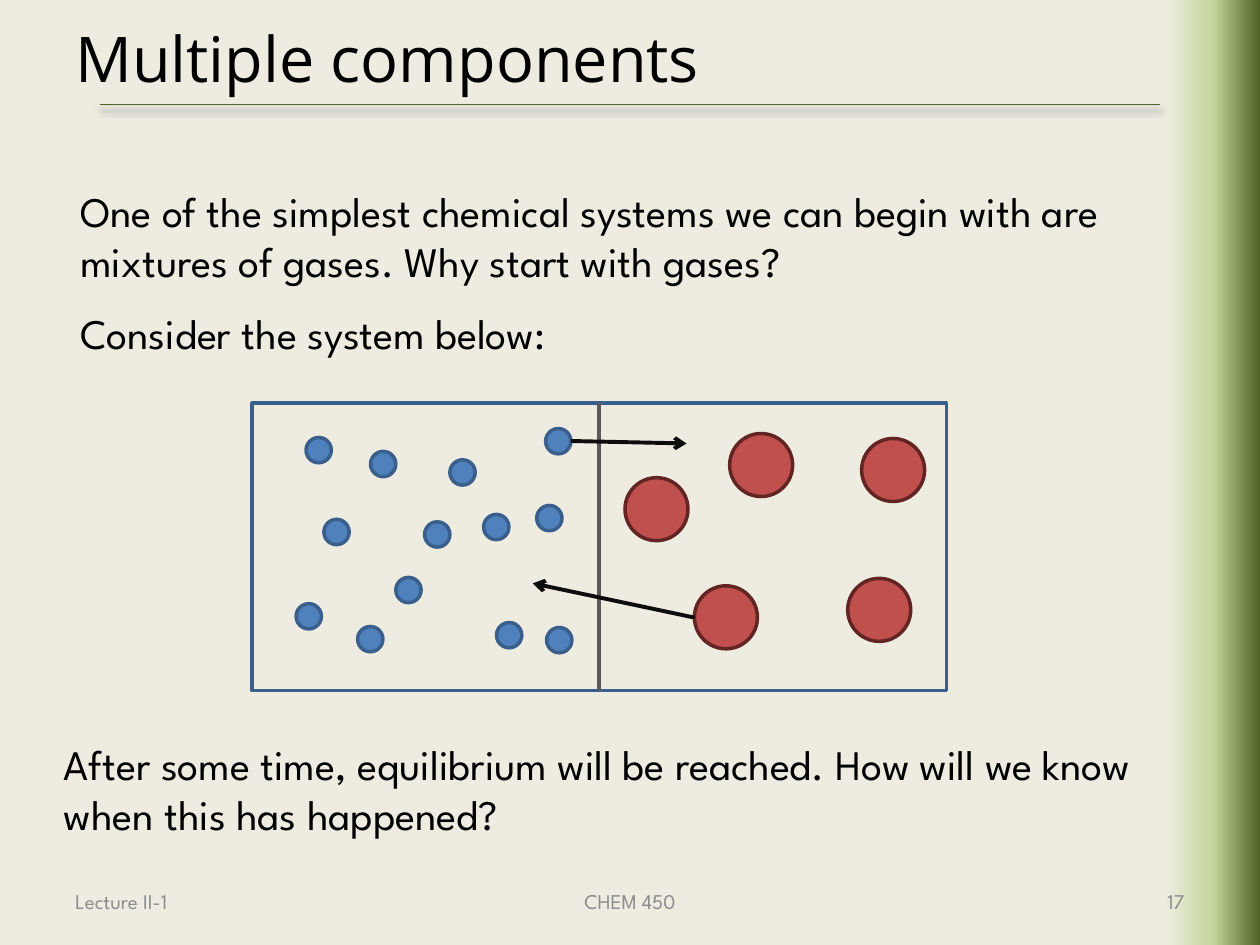
from dataclasses import dataclass

from lxml import etree
from pptx import Presentation
from pptx import util as u
from pptx.dml import color
from pptx.enum import shapes, text
from pptx.oxml import ns

Cm, Pt = u.Cm, u.Pt
A = ns.nsdecls("a")
MID, TOP = text.MSO_ANCHOR.MIDDLE, text.MSO_ANCHOR.TOP
ALIGN = text.PP_ALIGN


@dataclass(frozen=True)
class Theme:
    """Colours, fonts and sizes of the slide."""
    paper: str = "EEECE1"
    ink: str = "000000"
    gray: str = "8C8C8C"
    leaf: str = "4F6228"
    lime: str = "C3D69B"
    blue: str = "4F81BD"
    navy: str = "3A5F8C"
    red: str = "C0504D"
    wine: str = "632523"
    wall: str = "595959"
    dart: str = "0D0D0D"
    head: str = "Open Sans"
    body: str = "League Spartan"
    big: int = 36
    mid: int = 24
    low: int = 12


T = Theme()
SMALL = [(1.09, 0.69), (2.39, 0.97), (1.45, 2.34), (3.48, 2.39), (2.9, 3.51),
         (3.99, 1.14), (0.89, 4.04), (4.93, 4.42), (5.74, 2.06), (4.67, 2.24),
         (5.94, 4.52), (2.13, 4.5), (5.92, 0.51)]
LARGE = [(7.52, 1.5), (8.92, 3.68), (9.63, 0.61), (12.01, 3.53), (12.29, 0.71)]
PATHS = [(6.43, 0.76, 8.76, 0.81), (8.92, 4.32, 5.66, 3.63)]


def rgb(code):
    """Turn a hex code into a colour."""
    return color.RGBColor.from_string(code)


def put(obj, vals):
    """Set each named value on an object."""
    for name, val in vals.items():
        setattr(obj, name, val)


def glow():
    """Return a soft shadow that falls straight down."""
    return etree.fromstring(
        f'<a:effectLst {A}><a:outerShdw blurRad="{Pt(4)}" dist="{Pt(3)}" '
        'dir="5400000" algn="ctr" rotWithShape="0"><a:srgbClr val="000000">'
        '<a:alpha val="40000"/></a:srgbClr></a:outerShdw></a:effectLst>')


def write(slide, box, lines, size, hue=T.ink, face=T.body, side=ALIGN.LEFT,
          anchor=TOP, after=0):
    """Add a text box and return its runs."""
    frame = slide.shapes.add_textbox(*map(Cm, box)).text_frame
    put(frame, {"word_wrap": True, "vertical_anchor": anchor,
                "text": "\n".join(lines)})
    runs = []
    for par in frame.paragraphs:
        put(par, {"alignment": side, "space_after": Pt(after)})
        run = par.runs[0]
        put(run.font, {"size": Pt(size), "name": face})
        run.font.color.rgb = rgb(hue)
        runs.append(run)
    return runs


def form(slide, kind, box, fill=None, edge=None):
    """Add a preset shape with plain fill and edge."""
    item = slide.shapes.add_shape(kind, *map(Cm, box))
    item.shadow.inherit = False
    if fill:
        item.fill.solid()
        item.fill.fore_color.rgb = rgb(fill)
    else:
        item.fill.background()
    if edge:
        item.line.color.rgb = rgb(edge)
        item.line.width = Pt(2)
    else:
        item.line.fill.background()
    return item


def rule(slide, ends, hue, width, tip=False, shade=False):
    """Add a straight line, with an arrow tip or a shadow if asked."""
    item = slide.shapes.add_connector(shapes.MSO_CONNECTOR.STRAIGHT, *map(Cm, ends))
    item.line.color.rgb = rgb(hue)
    item.line.width = Pt(width)
    if tip:
        etree.SubElement(item.line._get_or_add_ln(), ns.qn("a:tailEnd"), type="arrow")
    item._element.spPr.append(glow() if shade else etree.Element(ns.qn("a:effectLst")))


def band(slide, box):
    """Draw the side band that fades into the paper."""
    item = form(slide, shapes.MSO_SHAPE.RECTANGLE, box)
    stops = "".join(f'<a:gs pos="{pos}"><a:srgbClr val="{hue}"/></a:gs>' for pos, hue
                    in ((0, T.leaf), (50000, T.lime), (100000, T.paper)))
    fade = etree.fromstring(f'<a:gradFill {A} rotWithShape="1"><a:gsLst>{stops}</a:gsLst>'
                            '<a:lin ang="10800000" scaled="0"/></a:gradFill>')
    props = item._element.spPr
    props.replace(props.find(ns.qn("a:noFill")), fade)


def title(slide, box, words):
    """Draw the shaded title and the rule below it."""
    x, y, w, h = box
    base = y + 2.54
    rule(slide, (x + 0.74, base, x + w - 0.74, base), T.leaf, 0.75, shade=True)
    run, = write(slide, box, [words], T.big, face=T.head, anchor=MID)
    run.font.fill._xPr.find(ns.qn("a:solidFill")).addnext(glow())


def foot(slide, box, left, mid, right):
    """Write the three footer notes across the box."""
    x, y, w, h = box
    side, core = 5.92, 8.05
    for dx, wide, words, way in ((0, side, left, ALIGN.LEFT),
                                 ((w - core) / 2, core, mid, ALIGN.CENTER),
                                 (w - side, side, right, ALIGN.RIGHT)):
        write(slide, (x + dx, y, wide, h), [words], T.low, T.gray, side=way, anchor=MID)


def tank(slide, box):
    """Draw the split tank, its two gases and their paths."""
    x, y, w, h = box
    form(slide, shapes.MSO_SHAPE.RECTANGLE, box, edge=T.navy)
    rule(slide, (x + w / 2, y, x + w / 2, y + h), T.wall, 2.25)
    for spots, size, fill, edge in ((SMALL, 0.51, T.blue, T.navy),
                                    (LARGE, 1.27, T.red, T.wine)):
        for dx, dy in spots:
            form(slide, shapes.MSO_SHAPE.OVAL, (x + dx, y + dy, size, size), fill, edge)
    for ax, ay, bx, by in PATHS:
        rule(slide, (x + ax, y + ay, x + bx, y + by), T.dart, 2.25, tip=True)


def main():
    """Build the slide and save it."""
    deck = Presentation()
    put(deck, {"slide_width": Cm(25.4), "slide_height": Cm(19.05)})
    slide = deck.slides.add_slide(deck.slide_layouts[6])
    slide.background.fill.solid()
    slide.background.fill.fore_color.rgb = rgb(T.paper)
    band(slide, (23.5, 0, 1.9, 19.05))
    title(slide, (1.27, -0.43, 22.86, 3.18), "Multiple components")
    foot(slide, (1.27, 17.65, 22.86, 1.02), "Lecture II-1", "CHEM 450", "17")
    write(slide, (1.37, 3.61, 22.12, 3.76), [
        "One of the simplest chemical systems we can begin with are mixtures of gases. "
        "Why start with gases?",
        "Consider the system below:"], T.mid, after=12)
    tank(slide, (5.08, 8.13, 14, 5.79))
    write(slide, (1.04, 14.76, 22.63, 2.31), [
        "After some time, equilibrium will be reached. How will we know when this has "
        "happened?"], T.mid, after=12)
    deck.save("out.pptx")


if __name__ == "__main__":
    main()
